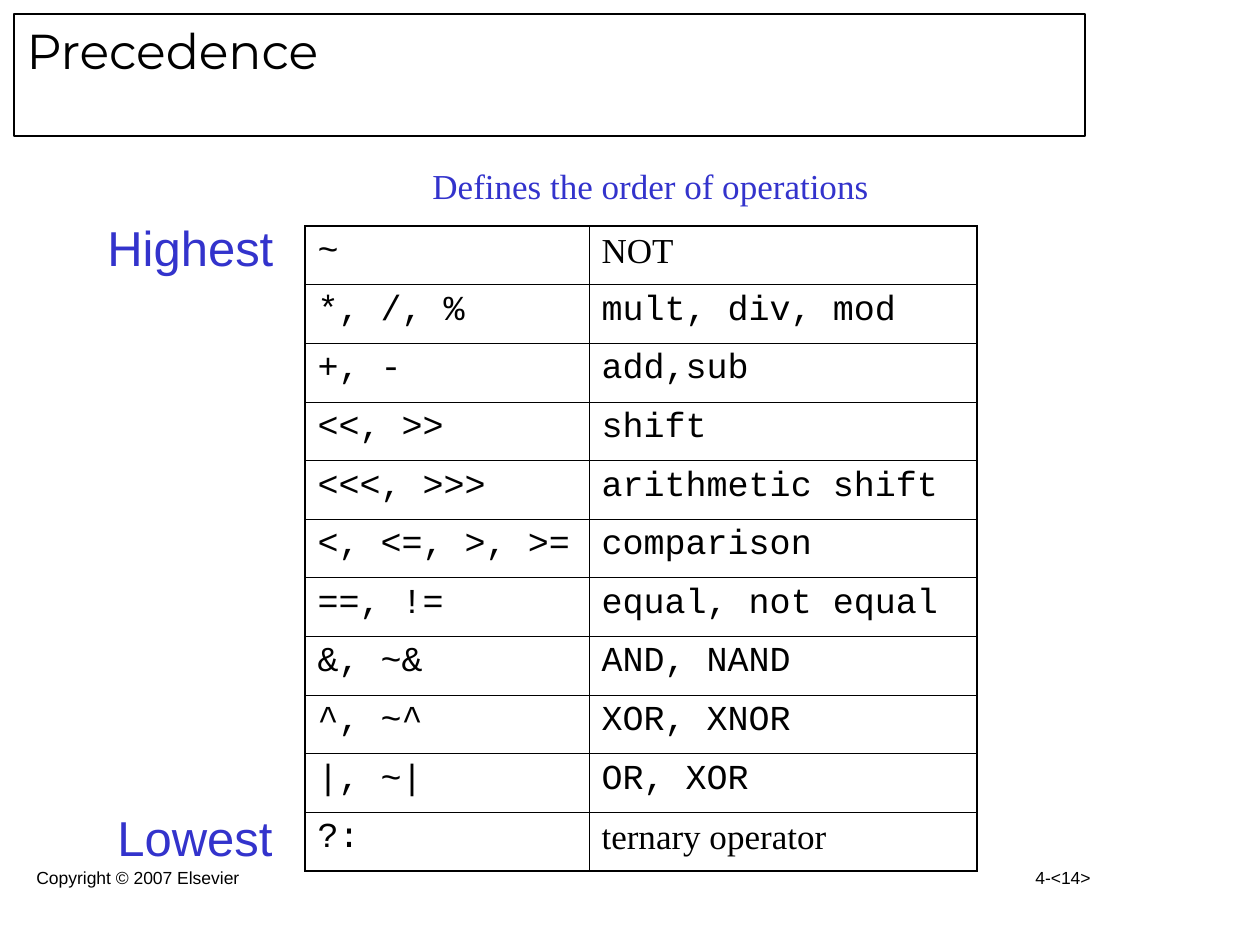
from lxml import etree
from pptx import Presentation
from pptx.dml.color import RGBColor
from pptx.enum.text import MSO_ANCHOR, PP_ALIGN
from pptx.oxml.ns import qn
from pptx.util import Pt

BLACK = RGBColor(0, 0, 0)
WHITE = RGBColor(255, 255, 255)
BLUE = RGBColor(0x33, 0x33, 0xCC)
LEFT, RIGHT = PP_ALIGN.LEFT, PP_ALIGN.RIGHT
TOP = MSO_ANCHOR.TOP
SANS, SERIF, MONO = "Arial", "Times New Roman", "Courier New"
THIN, THICK = Pt(0.45), Pt(1.08)

ROWS = [
    ("~", "NOT", SERIF),
    ("*, /, %", "mult, div, mod", MONO),
    ("+, -", "add,sub", MONO),
    ("<<, >>", "shift", MONO),
    ("<<<, >>>", "arithmetic shift", MONO),
    ("<, <=, >, >=", "comparison", MONO),
    ("==, !=", "equal, not equal", MONO),
    ("&, ~&", "AND, NAND", MONO),
    ("^, ~^", "XOR, XNOR", MONO),
    ("|, ~|", "OR, XOR", MONO),
    ("?:", "ternary operator", SERIF),
]


def px(n):
    """Turn pixels into EMU."""
    return round(n * 914400 / 126)


def write(frame, text, size, face, color=BLACK, align=LEFT):
    """Fill a text frame with one styled paragraph."""
    frame.text = text
    para = frame.paragraphs[0]
    para.alignment = align
    font = para.font
    font.size, font.name = Pt(size), face
    font.color.rgb = color


def label(slide, box, text, size, face, color=BLACK, align=LEFT):
    """Add a wrapped text box."""
    frame = slide.shapes.add_textbox(*map(px, box)).text_frame
    frame.word_wrap = True
    write(frame, text, size, face, color, align)


def heading(slide, box, text):
    """Place the framed title."""
    title = slide.shapes.title
    title.left, title.top, title.width, title.height = map(px, box)
    title.fill.solid()
    title.fill.fore_color.rgb = WHITE
    title.line.color.rgb = BLACK
    title.line.width = Pt(0.75)
    frame = title.text_frame
    frame.vertical_anchor = TOP
    write(frame, text, 28, "Montserrat")


def border(cell, sides):
    """Draw the cell edges, given as widths by tag."""
    props = cell._tc.get_or_add_tcPr()
    for i, (tag, width) in enumerate(sides.items()):
        line = etree.Element(qn(f"a:{tag}"), w=str(width))
        fill = etree.SubElement(line, qn("a:solidFill"))
        etree.SubElement(fill, qn("a:srgbClr"), val=str(BLACK))
        props.insert(i, line)


def grid(slide, box, split):
    """Build the operator table, with its columns parted at split."""
    high = px(box[3]) // len(ROWS)
    table = slide.shapes.add_table(len(ROWS), 2, *map(px, box)).table
    table.first_row = table.horz_banding = False
    for col, width in zip(table.columns, (split, box[2] - split)):
        col.width = px(width)
    last = len(ROWS) - 1
    for r, (sign, name, face) in enumerate(ROWS):
        table.rows[r].height = high
        for c, (text, font) in enumerate(((sign, MONO), (name, face))):
            cell = table.cell(r, c)
            cell.fill.background()
            write(cell.text_frame, text, 20, font)
            border(cell, {
                "lnL": THIN if c else THICK,
                "lnR": THICK if c else THIN,
                "lnT": THIN if r else THICK,
                "lnB": THICK if r == last else THIN,
            })


def body(slide, box):
    """Place the caption, the table and its two end labels."""
    x, y, w, h = box
    grid(slide, (x, y, w, h), 284)
    label(slide, (x + 115, y - 68, 609, 683),
          "Defines the order of operations", 20, SERIF, BLUE)
    label(slide, (x - 210, y - 15, 242, 72), "Highest", 28, SANS, BLUE)
    label(slide, (x - 200, y + 575, 242, 72), "Lowest", 28, SANS, BLUE)


def footer(slide, box):
    """Place the copyright line and the page number."""
    x, y, w, h = box
    label(slide, (x, y, 400, h), "Copyright © 2007 Elsevier", 10, SANS)
    label(slide, (x + w - 262, y, 262, h), "4-<14>", 10, SANS, align=RIGHT)


def main():
    """Build and save the slide."""
    deck = Presentation()
    deck.slide_width, deck.slide_height = px(1260), px(945)
    slide = deck.slides.add_slide(deck.slide_layouts[5])
    heading(slide, (14, 14, 1071, 122), "Precedence")
    footer(slide, (24, 861, 1079, 63))
    body(slide, (305, 226, 672, 645))
    deck.save("out.pptx")


if __name__ == "__main__":
    main()
